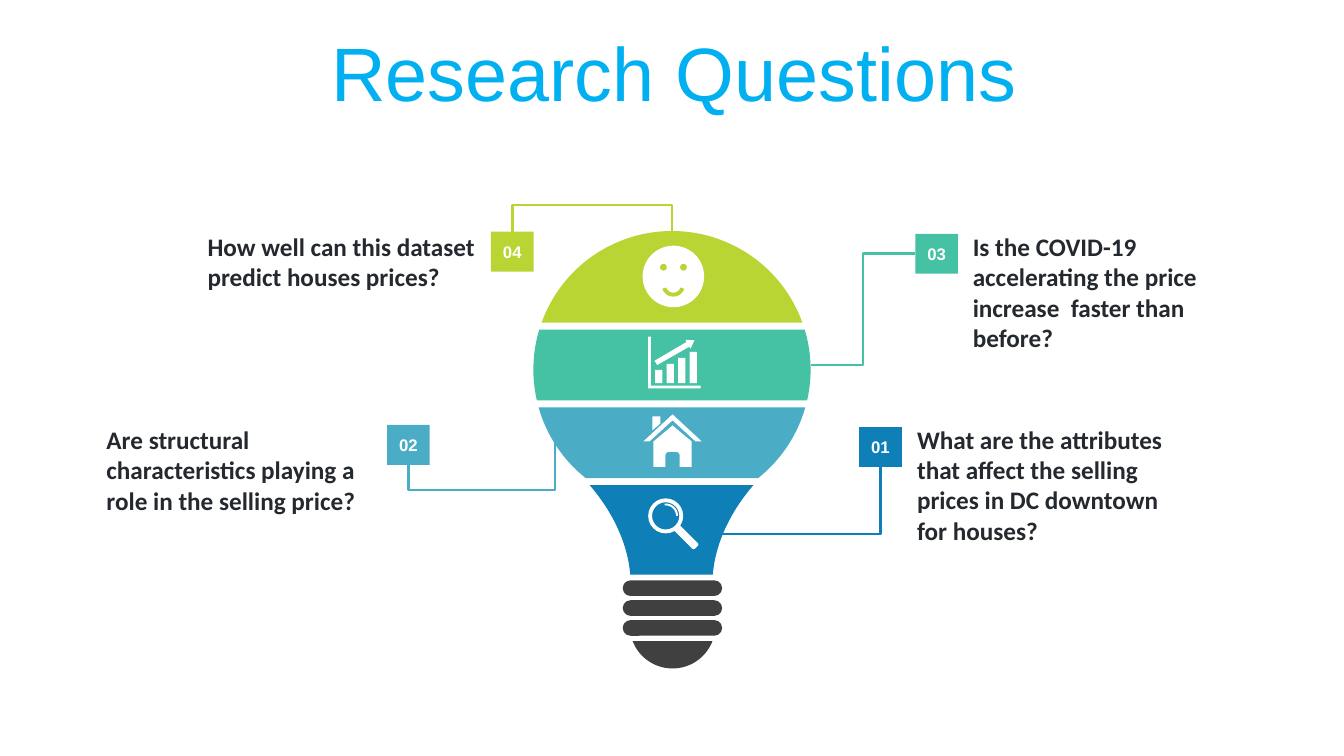
from math import asin, cos, degrees, radians, sin

from lxml import etree
from pptx import Presentation
from pptx.dml.color import RGBColor
from pptx.enum.shapes import MSO_CONNECTOR, MSO_SHAPE
from pptx.enum.text import MSO_ANCHOR, PP_ALIGN
from pptx.oxml.ns import qn
from pptx.util import Pt

LIME, GREEN, TEAL, BLUE = "B9D533", "45C1A4", "4BACC6", "0E7FB7"
WHITE, DARK, INK, SKY = "FFFFFF", "404040", "24292F", "00B0F0"
TOP, LEFT, BOTTOM, RIGHT = 0, 1, 2, 3


def rgb(value):
    return RGBColor.from_string(value)


# ---- Outlines, as lists of points ----
def arc(cx, cy, radius, start, end, steps=32):
    angles = [radians(start + (end - start) * i / steps) for i in range(steps + 1)]
    return [(cx + radius * cos(a), cy + radius * sin(a)) for a in angles]


def bezier(p0, p1, p2, p3, steps=24):
    points = []
    for i in range(steps + 1):
        t = i / steps
        weights = ((1 - t) ** 3, 3 * t * (1 - t) ** 2, 3 * t * t * (1 - t), t ** 3)
        points.append(tuple(sum(w * p[axis] for w, p in zip(weights, (p0, p1, p2, p3)))
                            for axis in (0, 1)))
    return points


def mirrored(points, cx):
    return points + [(2 * cx - x, y) for x, y in reversed(points)]


def ring_part(cx, cy, outer, inner, start, end):
    return arc(cx, cy, outer, start, end) + arc(cx, cy, inner, end, start)


# ---- Drawing helpers ----
def paint(sp, color):
    sp.shadow.inherit = False
    sp.fill.solid()
    sp.fill.fore_color.rgb = rgb(color)
    sp.line.fill.background()
    return sp


def preset(shapes, kind, x, y, w, h, color):
    return paint(shapes.add_shape(kind, Pt(x), Pt(y), Pt(w), Pt(h)), color)


def outline(shapes, color, points, x=0, y=0):
    emu = [(Pt(x + px), Pt(y + py)) for px, py in points]
    builder = shapes.build_freeform(*emu[0], scale=1.0)
    builder.add_line_segments(emu[1:], close=True)
    return paint(builder.convert_to_shape(), color)


def add_run(p, text, size, font, color, bold=False):
    r = p.add_run()
    r.text = text
    r.font.size = Pt(size)
    r.font.name = font
    r.font.bold = bold
    r.font.color.rgb = rgb(color)


# ---- Title ----
def add_title(s, x, y, w, h):
    title = s.shapes.title
    title.left, title.top, title.width, title.height = Pt(x), Pt(y), Pt(w), Pt(h)
    tf = title.text_frame
    tf.vertical_anchor = MSO_ANCHOR.MIDDLE
    p = tf.paragraphs[0]
    p.alignment = PP_ALIGN.CENTER
    p.line_spacing = 0.9
    add_run(p, "Research Questions", 54, "Arial", SKY)


# ---- Light bulb, placed by the centre of its glass; returns its bands ----
def add_bulb(s, cx, cy, radius):
    shapes = s.shapes.add_group_shape().shapes
    bands = []
    for top, bottom, color in [(-radius, -33.5, LIME), (-28.5, 22, GREEN), (27, 77.5, TEAL)]:
        side = arc(cx, cy, radius, degrees(asin(top / radius)), degrees(asin(bottom / radius)))
        bands.append(outline(shapes, color, mirrored(side, cx)))

    neck = bezier((-58.5, 82.5), (-36.5, 108), (-30.5, 132.5), (-29.5, 146.5))
    outline(shapes, BLUE, mirrored(neck, 0), cx - 0.3, cy)
    for i in range(3):
        thread = preset(shapes, MSO_SHAPE.ROUNDED_RECTANGLE,
                        cx - 35.2, cy + 150.5 + 14.2 * i, 71, 11.2, DARK)
        thread.adjustments[0] = 0.5
    cap = bezier((-28.5, 194), (-24, 205.5), (-13, 213.5), (0, 213.5))
    outline(shapes, DARK, mirrored(cap, 0), cx + 0.4, cy)
    return bands


# ---- Icons, placed by their top left corner ----
def add_face(s, x, y):
    shapes = s.shapes.add_group_shape().shapes
    preset(shapes, MSO_SHAPE.OVAL, x, y, 44, 44, WHITE)
    for eye_x in (12.5, 26.8):
        preset(shapes, MSO_SHAPE.OVAL, x + eye_x, y + 13, 4.8, 4.8, LIME)
    outline(shapes, LIME, ring_part(22, 28.2, 8.2, 5.4, 18, 162), x, y)


def add_growth_chart(s, x, y):
    shapes = s.shapes.add_group_shape().shapes
    for i in range(4):
        top = 23.8 - 4.3 * i
        preset(shapes, MSO_SHAPE.RECTANGLE, x + 5 + 8.2 * i, y + top, 5.2, 33.2 - top, WHITE)
    axes = [(0, 0), (2, 0), (2, 35), (37.4, 35), (37.4, 37), (0, 37)]
    arrow = [(26.6, 2.2), (33.1, 2.6), (30.2, 8.6), (29.3, 7.2),
             (6.5, 20.2), (4.5, 17.2), (27.4, 3.8)]
    for points in (axes, arrow):
        outline(shapes, WHITE, points, x, y)


def add_house(s, x, y):
    shapes = s.shapes.add_group_shape().shapes
    middle = 20.9
    roof = mirrored([(middle, 0), (41.8, 19.4), (37.4, 19.4), (middle, 4.3)], middle)
    door = bezier((26, 29.5), (26, 28), (25, 26.8), (23.5, 26.8), 8)
    walls = mirrored([(middle, 7.9), (34.6, 19.4), (34.6, 37.4), (26, 37.4)] + door, middle)
    chimney = [(6.5, 1.4), (12.2, 1.4), (12.2, 6.5), (6.5, 11.5)]
    for points in (roof, walls, chimney):
        outline(shapes, WHITE, points, x, y)


def add_magnifier(s, x, y):
    shapes = s.shapes.add_group_shape().shapes
    lens = preset(shapes, MSO_SHAPE.DONUT, x, y, 25, 25, WHITE)
    lens.adjustments[0] = 0.11
    outline(shapes, WHITE, ring_part(12.5, 12.5, 8.8, 7.4, -95, 0), x, y)
    handle = preset(shapes, MSO_SHAPE.ROUNDED_RECTANGLE, x + 16.5, y + 24.7, 21, 5.6, WHITE)
    handle.adjustments[0] = 0.25
    handle.rotation = 45


# ---- Callouts: numbered box and question, then the leader line ----
def add_callout(s, x, y, number, color, question, text_dx, text_dy, text_h):
    box = preset(s.shapes, MSO_SHAPE.RECTANGLE, x, y, 30.5, 28.5, color)
    tf = box.text_frame
    tf.margin_left = tf.margin_right = 0
    tf.vertical_anchor = MSO_ANCHOR.MIDDLE
    p = tf.paragraphs[0]
    p.alignment = PP_ALIGN.CENTER
    add_run(p, number, 12, "Arial", WHITE, True)

    tb = s.shapes.add_textbox(Pt(x + text_dx), Pt(y + text_dy), Pt(207.5), Pt(text_h))
    tb.text_frame.word_wrap = True
    add_run(tb.text_frame.paragraphs[0], question, 18, "Calibri", INK, True)
    return box


def add_leader(s, x, y, box, side, color, bends, adjustments=(), source=None, source_side=None):
    line = s.shapes.add_connector(MSO_CONNECTOR.ELBOW, Pt(x), Pt(y), Pt(x), Pt(y))
    if source is not None:
        line.begin_connect(source, source_side)
    line.end_connect(box, side)
    line.line.color.rgb = rgb(color)
    line.line.width = Pt(1.75)
    props = line._element.spPr
    etree.SubElement(props, qn("a:effectLst"))
    geometry = props.find(qn("a:prstGeom"))
    geometry.set("prst", f"bentConnector{bends}")
    guides = geometry.find(qn("a:avLst"))
    for i, share in enumerate(adjustments, 1):
        etree.SubElement(guides, qn("a:gd"), name=f"adj{i}", fmla=f"val {round(share * 100000)}")


def build_slide(prs):
    s = prs.slides.add_slide(prs.slide_layouts[5])
    add_title(s, 25.5, 26.5, 911.5, 57)
    lime_band, green_band, _ = add_bulb(s, 480, 264, 99)

    box1 = add_callout(
        s, 613.7, 305, "01", BLUE,
        "What are the attributes that affect the selling prices in DC downtown for houses?",
        34.3, -5.5, 94.5)
    box2 = add_callout(
        s, 276.5, 303.5, "02", TEAL,
        "Are structural characteristics playing a role in the selling price?",
        -207.5, -3.8, 72.5)
    box3 = add_callout(
        s, 653.8, 167, "03", GREEN,
        "Is the COVID-19 accelerating the price increase  faster than before?",
        34, -5.2, 94.5)
    box4 = add_callout(
        s, 350.7, 165.5, "04", LIME,
        "How well can this dataset predict houses prices?",
        -209.5, -3.7, 51)

    add_leader(s, 504, 381.5, box1, BOTTOM, BLUE, 2)
    add_leader(s, 396.5, 314, box2, BOTTOM, TEAL, 4, (0, 2))
    add_leader(s, 579, 264, box3, LEFT, GREEN, 3, (), green_band, RIGHT)
    add_leader(s, 480, 165, box4, TOP, LIME, 4, (0, -36), lime_band, TOP)

    add_face(s, 459, 175.5)
    add_growth_chart(s, 463, 240.5)
    add_house(s, 459.5, 296)
    add_magnifier(s, 463, 356)


def main():
    prs = Presentation()
    prs.slide_width, prs.slide_height = Pt(960), Pt(540)
    build_slide(prs)
    prs.save("out.pptx")


if __name__ == "__main__":
    main()
